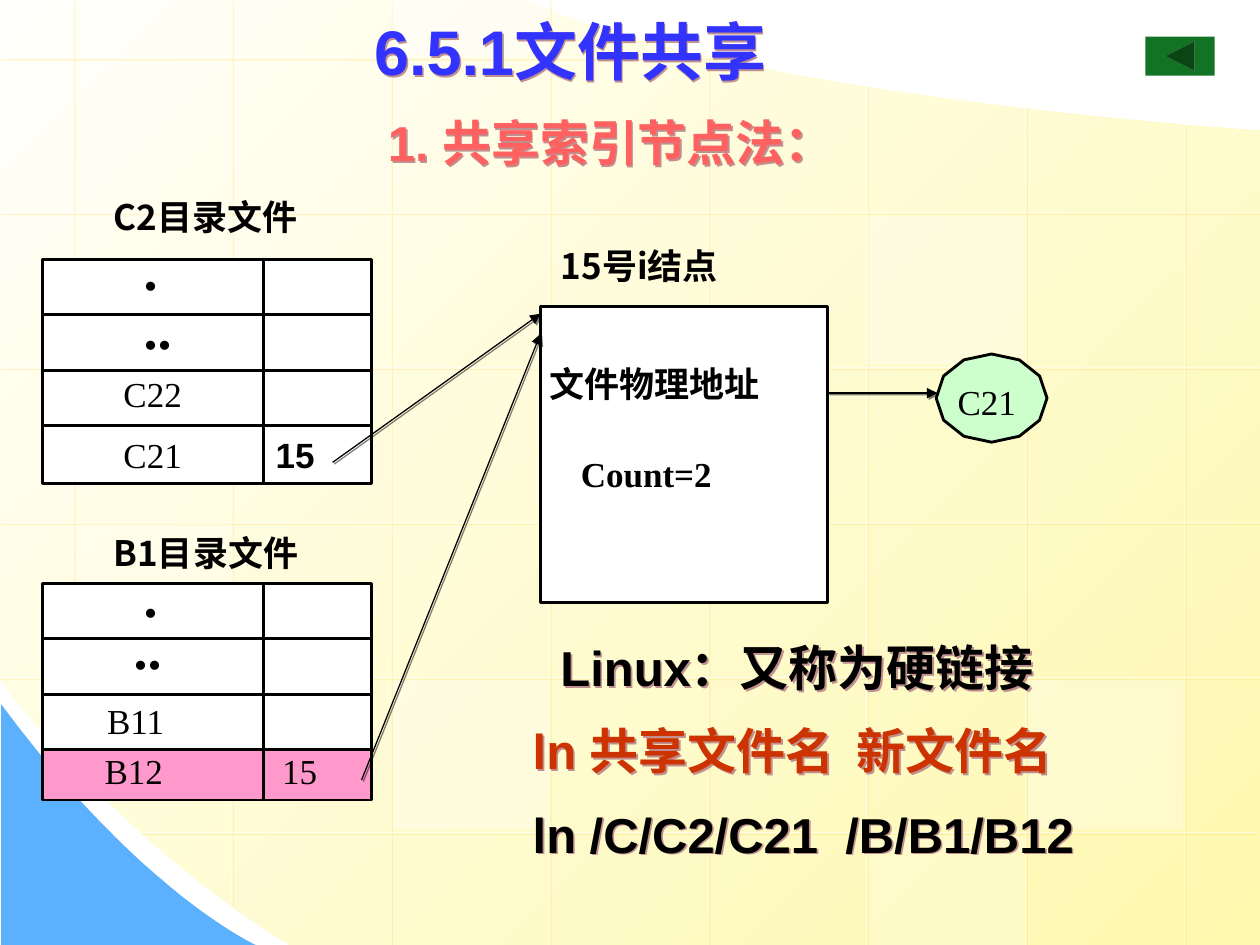
from math import cos, pi, sin

from lxml.etree import SubElement
from pptx import Presentation
from pptx.dml.color import RGBColor
from pptx.enum.shapes import MSO_CONNECTOR, MSO_SHAPE
from pptx.enum.text import MSO_ANCHOR, PP_ALIGN
from pptx.oxml.ns import qn
from pptx.util import Inches, Pt

COLORS = {
    "white": "FFFFFF", "black": "000000", "paper_light": "FFFFFB", "paper_dark": "FEF8AF",
    "wave": "5CB1FE", "grid_shadow": "FFCC00", "title": "3333FF", "subtitle": "FF6161",
    "syntax": "CC3300", "linked": "FF99CC", "data": "CCFFCC", "button": "137325",
    "text_shadow": "C09090",
}
SERIF = {"name": "Times New Roman", "size": Pt(20), "bold": False}
SERIF_BOLD = SERIF | {"bold": True}
DOT = SERIF_BOLD | {"size": Pt(32)}
CAPTION = {"name": "Noto Sans CJK SC", "size": Pt(20), "bold": True}
ARIAL = {"name": "Arial", "size": Pt(20), "bold": True}
TITLE = ARIAL | {"size": Pt(36)}
HEADING = ARIAL | {"size": Pt(28)}
UNITS_PER_INCH = 1000


def rgb(color):
    return RGBColor.from_string(COLORS[color])


def set_alpha(parent, percent):
    for clr in parent.iter(qn("a:srgbClr")):
        SubElement(clr, qn("a:alpha"), val=str(percent * 1000))


def add_shadow(properties, color, alpha):
    effects = SubElement(properties, qn("a:effectLst"))
    shadow = SubElement(effects, qn("a:outerShdw"), blurRad="0", dist=str(Pt(1.4)),
                        dir="2700000", algn="ctr", rotWithShape="0")
    SubElement(shadow, qn("a:srgbClr"), val=COLORS[color])
    set_alpha(shadow, alpha)


def style_shape(shape, fill, border=False):
    shape.shadow.inherit = False
    shape.fill.solid()
    shape.fill.fore_color.rgb = rgb(fill)
    if border:
        shape.line.color.rgb = rgb("black")
        shape.line.width = Pt(1.63)
    else:
        shape.line.fill.background()


def add_block(slide, box, fill="white", border=True, kind=MSO_SHAPE.RECTANGLE):
    block = slide.shapes.add_shape(kind, *map(Inches, box))
    style_shape(block, fill, border)
    return block


def add_outline(slide, points):
    """Closed outline through points in inches; the builder keeps whole units only."""
    units = [(round(x * UNITS_PER_INCH), round(y * UNITS_PER_INCH)) for x, y in points]
    builder = slide.shapes.build_freeform(*units[0], scale=Inches(1) / UNITS_PER_INCH)
    builder.add_line_segments(units[1:], close=True)
    return builder.convert_to_shape()


def curve(p0, p1, p2, p3, steps=24):
    """Points along a cubic Bezier curve."""
    points = []
    for step in range(steps + 1):
        t = step / steps
        u = 1 - t
        points.append(tuple(u**3 * a + 3 * u * u * t * b + 3 * u * t * t * c + t**3 * d
                            for a, b, c, d in zip(p0, p1, p2, p3)))
    return points


def add_line(slide, start, end, color, shadow, shadow_alpha):
    """Thin line with an offset shadow; returns its a:ln element."""
    line = slide.shapes.add_connector(MSO_CONNECTOR.STRAIGHT, *map(Inches, (*start, *end)))
    line.line.color.rgb = rgb(color)
    line.line.width = Pt(0.75)
    properties = line._element.spPr
    add_shadow(properties, shadow, shadow_alpha)
    return properties.find(qn("a:ln"))


def add_arrow(slide, start, end):
    stroke = add_line(slide, start, end, "black", "black", 50)
    SubElement(stroke, qn("a:tailEnd"), type="triangle")


def write(paragraph, text, style, color="black"):
    paragraph.alignment = PP_ALIGN.LEFT
    run = paragraph.add_run()
    run.text = text
    run.font.color.rgb = rgb(color)
    for name, value in style.items():
        setattr(run.font, name, value)
    if style is CAPTION:
        SubElement(run.font._element, qn("a:ea"), typeface=style["name"])


def add_label(slide, box, text, style):
    frame = slide.shapes.add_textbox(*map(Inches, box)).text_frame
    frame.word_wrap = True
    for side in ("left", "top", "right", "bottom"):
        setattr(frame, f"margin_{side}", 0)
    write(frame.paragraphs[0], text, style)


def add_headings(slide, box, lines):
    """Shadowed lines, each as text, style, colour and left indent."""
    headings = slide.shapes.add_textbox(*map(Inches, box))
    add_shadow(headings._element.spPr, "text_shadow", 100)
    frame = headings.text_frame
    frame.word_wrap = True
    for index, (text, style, color, indent) in enumerate(lines):
        paragraph = frame.add_paragraph() if index else frame.paragraphs[0]
        if index:
            paragraph.space_before = Pt(14)
        paragraph._p.get_or_add_pPr().set("marL", str(Inches(indent)))
        write(paragraph, text, style, color)


def add_background(slide):
    paper = add_outline(slide, [(0, 0), (4.21, 0)]
                        + curve((4.21, 0.01), (4.21, 0.01), (5.37, 0.69), (10, 1.04))
                        + [(10, 7.5)]
                        + curve((2.3, 7.5), (0.86, 6.61), (0, 5.39), (0, 5.39)))
    style_shape(paper, "paper_light")
    paper.fill.gradient()
    paper.fill.gradient_angle = 315
    for stop, color in zip(paper.fill.gradient_stops, ("paper_light", "paper_dark")):
        stop.color.rgb = rgb(color)
    wave = add_outline(slide, [(0.01, 7.5)]
                       + curve((0.01, 5.59), (1.12, 7.09), (2.03, 7.5), (2.03, 7.5)))
    style_shape(wave, "wave")

    vertical = [(0, 6.09), (0, 7.19), (0, 7.5), (0, 7.5),
                (0.43, 7.5), (0.68, 7.5), (0.85, 7.5), (0.98, 7.5)]
    horizontal = [(0, 5.68), (0, 10), (0, 10), (0, 10), (0, 10), (1.11, 9.97)]
    grid = [((0.58 + 1.26 * i, a), (0.58 + 1.26 * i, b)) for i, (a, b) in enumerate(vertical)]
    grid += [((b, 0.46 + 1.23 * i), (a, 0.46 + 1.23 * i)) for i, (a, b) in enumerate(horizontal)]
    for start, end in grid:
        stroke = add_line(slide, start, end, "white", "grid_shadow", 34)
        set_alpha(stroke, 50)

    tiles = [(8.16, 5.4, 1.18, 30), (0.6, 4.16, 1.18, 20), (6.9, 6.63, 0.87, 20),
             (3.11, 0, 0.44, 40), (3.12, 5.4, 1.18, 30), (6.89, 1.71, 1.18, 30)]
    for left, top, height, alpha in tiles:
        tile = add_block(slide, (left, top, 1.23, height), border=False)
        set_alpha(tile._element.spPr, alpha)


def add_directory(slide, top, row_heights, fills):
    """Directory rows of a file name cell and an index node cell; returns the last cell."""
    for height, fill in zip(row_heights, fills):
        add_block(slide, (0.34, top, 1.75, height), fill)
        node_cell = add_block(slide, (2.09, top, 0.86, height), fill)
        top += height
    return node_cell


def main():
    prs = Presentation()
    prs.slide_width, prs.slide_height = Inches(10), Inches(7.5)
    slide = prs.slides.add_slide(prs.slide_layouts[6])
    add_background(slide)

    node_cell = add_directory(slide, 2.06, [0.44, 0.44, 0.44, 0.46], ["white"] * 4)
    node_cell.text_frame.vertical_anchor = MSO_ANCHOR.MIDDLE
    write(node_cell.text_frame.paragraphs[0], "15", ARIAL)
    add_directory(slide, 4.63, [0.44, 0.44, 0.44, 0.4], ["white"] * 3 + ["linked"])

    add_block(slide, (4.29, 2.43, 2.28, 2.35))
    corners = [(7.87 + 0.44 * cos(i * pi / 6), 3.16 + 0.35 * sin(i * pi / 6)) for i in range(12)]
    style_shape(add_outline(slide, corners), "data", border=True)

    labels = [
        ((0.9, 1.55, 1.68, 0.4), "C2目录文件", CAPTION),
        ((1.14, 1.86, 0.12, 0.53), ".", DOT),
        ((1.14, 2.33, 0.55, 0.53), "..", DOT),
        ((0.98, 2.96, 0.61, 0.4), "C22", SERIF),
        ((0.98, 3.44, 0.61, 0.4), "C21", SERIF),
        ((0.9, 4.22, 1.68, 0.4), "B1目录文件", CAPTION),
        ((1.14, 4.46, 0.12, 0.53), ".", DOT),
        ((1.06, 4.87, 0.55, 0.53), "..", DOT),
        ((0.85, 5.55, 0.59, 0.4), "B11", SERIF),
        ((0.83, 5.95, 0.59, 0.4), "B12", SERIF),
        ((2.24, 5.95, 0.37, 0.4), "15", SERIF),
        ((4.45, 1.94, 1.51, 0.4), "15号i结点", CAPTION),
        ((4.36, 2.88, 2.01, 0.4), "文件物理地址", CAPTION),
        ((4.61, 3.59, 1.73, 0.4), "Count=2", SERIF_BOLD),
        ((7.6, 3.02, 0.87, 0.4), "C21", SERIF),
    ]
    for box, text, style in labels:
        add_label(slide, box, text, style)

    for start, end in [((2.64, 3.67), (4.29, 2.49)), ((2.87, 6.19), (4.29, 2.65)),
                       ((6.57, 3.12), (7.44, 3.12))]:
        add_arrow(slide, start, end)

    add_headings(slide, (2.87, 0.05, 4.65, 1.4), [
        ("6.5.1文件共享", TITLE, "title", 0),
        ("1. 共享索引节点法：", HEADING, "subtitle", 0.11)])
    add_headings(slide, (4.13, 5.01, 4.8, 1.97), [
        ("Linux：又称为硬链接", HEADING, "black", 0.22),
        ("ln 共享文件名  新文件名", HEADING, "syntax", 0),
        ("ln /C/C2/C21  /B/B1/B12", HEADING, "black", 0)])
    add_block(slide, (9.09, 0.29, 0.55, 0.31), "button", False,
              MSO_SHAPE.ACTION_BUTTON_BACK_OR_PREVIOUS)
    prs.save("out.pptx")


if __name__ == "__main__":
    main()
